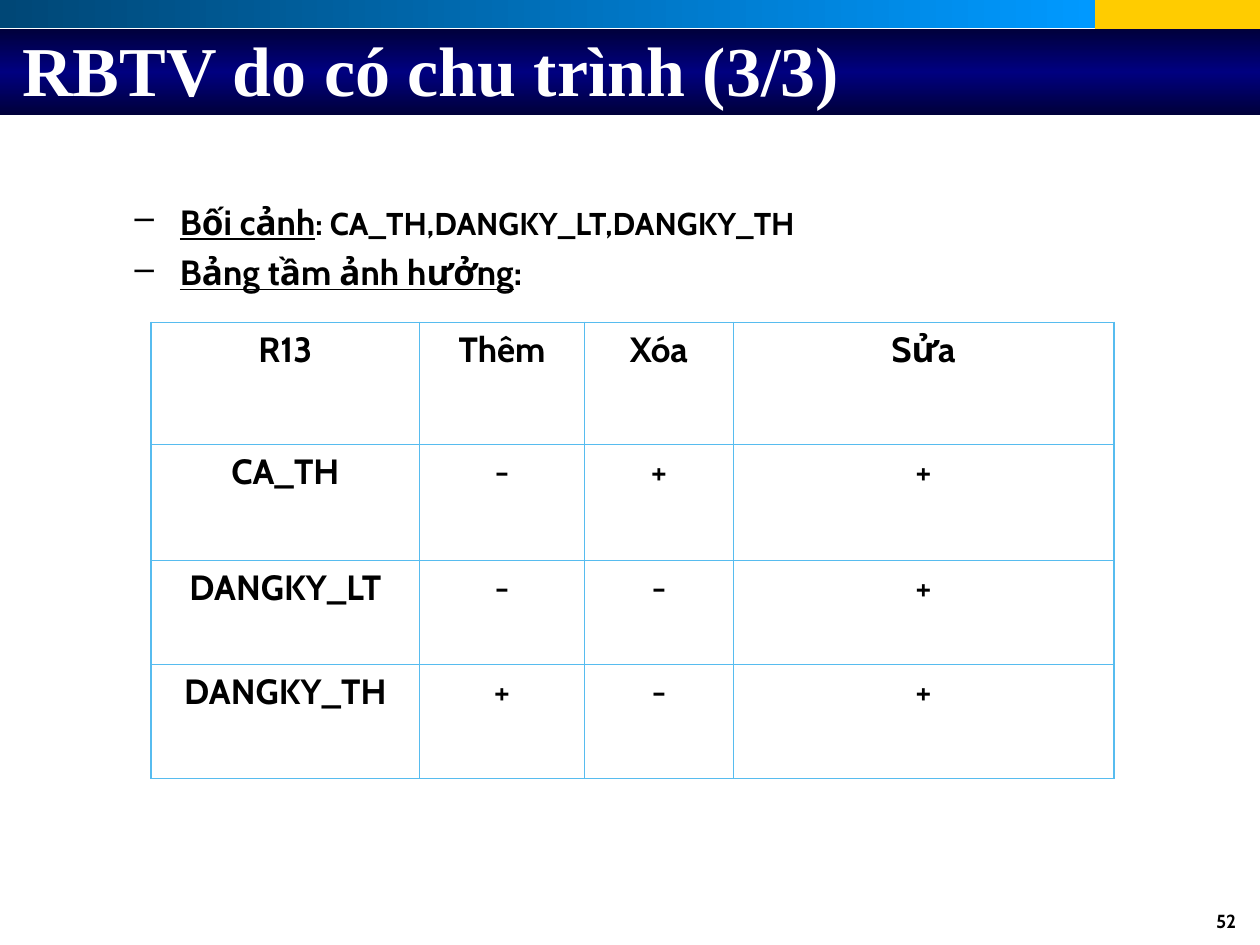
import lxml.etree
import pptx
import pptx.dml.color
import pptx.enum.shapes
import pptx.enum.text
import pptx.oxml.ns
import pptx.util

Inches = pptx.util.Inches
Pt = pptx.util.Pt
RGBColor = pptx.dml.color.RGBColor
ALIGN = pptx.enum.text.PP_ALIGN
ANCHOR = pptx.enum.text.MSO_ANCHOR
qn = pptx.oxml.ns.qn

BLACK = RGBColor(0x00, 0x00, 0x00)
WHITE = RGBColor(0xFF, 0xFF, 0xFF)
GOLD = RGBColor(0xFF, 0xCC, 0x00)
TEAL = RGBColor(0x00, 0x47, 0x76)
BLUE = RGBColor(0x00, 0x99, 0xFF)
NIGHT = RGBColor(0x00, 0x00, 0x3B)
NAVY = RGBColor(0x00, 0x00, 0x80)
SKY = RGBColor(0x57, 0xBC, 0xEF)


def add_run(para, text, size, **more):
    run = para.add_run()
    run.text = text
    style = {"name": "Cabin", "size": Pt(size), "bold": True, "color": BLACK, **more}
    run.font.color.rgb = style.pop("color")
    for key, value in style.items():
        setattr(run.font, key, value)


def add_box(place, anchor=ANCHOR.TOP):
    frame = slide.shapes.add_textbox(*map(Inches, place)).text_frame
    frame.word_wrap = True
    frame.vertical_anchor = anchor
    return frame


deck = pptx.Presentation()
deck.slide_width = Inches(10)
deck.slide_height = Inches(7.5)
slide = deck.slides.add_slide(deck.slide_layouts[6])

bars = [
    ((8.69, 0, 1.31, 0.23), [GOLD], 0),
    ((0, 0, 8.69, 0.22), [TEAL, BLUE], 0),
    ((0, 0.23, 10, 0.68), [NIGHT, NAVY, NIGHT], 90),
]
for place, tones, angle in bars:
    bar = slide.shapes.add_shape(
        pptx.enum.shapes.MSO_SHAPE.RECTANGLE, *map(Inches, place))
    bar.shadow.inherit = False
    bar.line.fill.background()
    if len(tones) == 1:
        bar.fill.solid()
        bar.fill.fore_color.rgb = tones[0]
        continue
    bar.fill.gradient()
    bar.fill.gradient_angle = angle
    stops = bar._element.spPr.find(qn("a:gradFill")).find(qn("a:gsLst"))
    for stop in list(stops):
        stops.remove(stop)
    for step, tone in enumerate(tones):
        pos = 100000 * step // (len(tones) - 1)
        stop = lxml.etree.SubElement(stops, qn("a:gs"), pos=str(pos))
        lxml.etree.SubElement(stop, qn("a:srgbClr"), val=str(tone))

page = add_box((7.58, 7.17, 2.33, 0.32)).paragraphs[0]
page.alignment = ALIGN.RIGHT
add_run(page, "52", 10.8)

title = add_box((0.08, -0.08, 9, 1.25), ANCHOR.MIDDLE).paragraphs[0]
add_run(title, "RBTV do có chu trình (3/3)", 40, name="Times New Roman", color=WHITE)

body = add_box((0.83, 1.54, 8.21, 0.9))
points = [
    ("Bối cảnh", ": CA_TH,DANGKY_LT,DANGKY_TH", 18),
    ("Bảng tầm ảnh hưởng", ":", 20),
]
for row, (label, rest, size) in enumerate(points):
    para = body.add_paragraph() if row else body.paragraphs[0]
    props = para._p.get_or_add_pPr()
    props.set("marL", str(Inches(0.5)))
    props.set("indent", str(Inches(-0.36)))
    lxml.etree.SubElement(props, qn("a:buChar"), char="–")
    if row:
        para.space_before = Pt(5)
    add_run(para, label, 20, underline=True)
    add_run(para, rest, size)

cells = [
    ["R13", "Thêm", "Xóa", "Sửa"],
    ["CA_TH", "-", "+", "+"],
    ["DANGKY_LT", "-", "-", "+"],
    ["DANGKY_TH", "+", "-", "+"],
]
widths = [2.13, 1.31, 1.18, 3.02]
heights = [0.97, 0.92, 0.82, 0.91]
grid = slide.shapes.add_table(
    4, 4, Inches(1.2), Inches(2.56), Inches(sum(widths)), Inches(sum(heights))).table
for col, width in zip(grid.columns, widths):
    col.width = Inches(width)
for row, height in zip(grid.rows, heights):
    row.height = Inches(height)
for row, texts in enumerate(cells):
    for col, text in enumerate(texts):
        cell = grid.cell(row, col)
        para = cell.text_frame.paragraphs[0]
        para.alignment = ALIGN.CENTER
        add_run(para, text, 20, bold=row == 0 or col == 0)
        props = cell._tc.get_or_add_tcPr()
        edges = {"L": col == 0, "R": col == 3, "T": row == 0, "B": row == 3}
        for side, outer in edges.items():
            width = Pt(1.08 if outer else 0.45)
            line = lxml.etree.SubElement(props, qn("a:ln" + side), w=str(width))
            fill = lxml.etree.SubElement(line, qn("a:solidFill"))
            lxml.etree.SubElement(fill, qn("a:srgbClr"), val=str(SKY))
        cell.fill.background()

deck.save("out.pptx")
